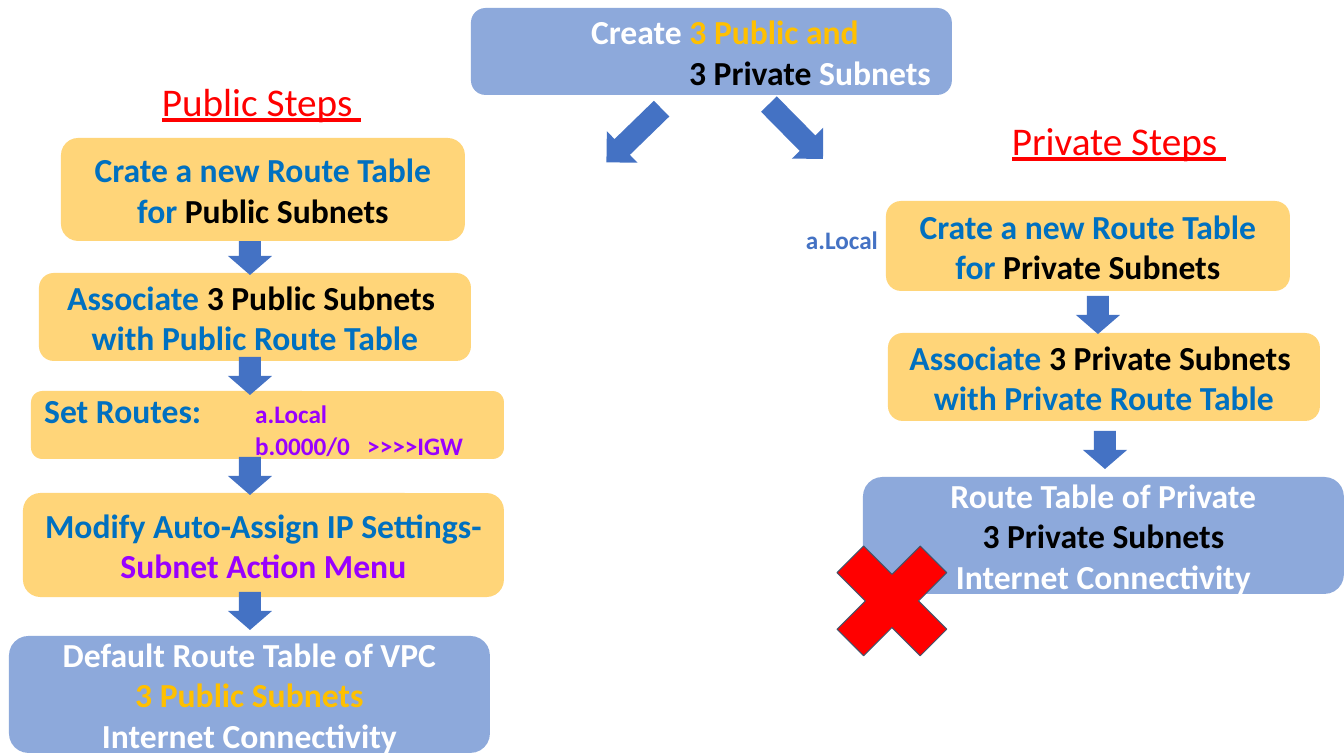
from dataclasses import dataclass
from lxml import etree
from pptx import Presentation
from pptx import util as u
from pptx.dml.color import RGBColor
from pptx.enum import shapes, text
from pptx.oxml.ns import qn

PX = 914400 / 100.8
KIND = shapes.MSO_SHAPE
MID = text.PP_ALIGN.CENTER
LEFT = text.PP_ALIGN.LEFT


@dataclass(frozen=True)
class Theme:
    font: str = "Calibri"
    title: int = 28
    body: int = 24
    small: int = 18
    sand: str = "FFD579"
    sky: str = "8DA9DB"
    arrow: str = "4472C4"
    blue: str = "0070C0"
    black: str = "000000"
    white: str = "FFFFFF"
    gold: str = "FFC000"
    purple: str = "9900FF"
    red: str = "FF0000"
    edge: str = "44546A"


T = Theme()


def px(n):
    return u.Emu(round(n * PX))


def place(area, box):
    x, y, w, h = box
    return [px(n) for n in (area[0] + x, area[1] + y, w, h)]


def write(frame, paras, align=MID, size=T.body, **form):
    """Each paragraph is a list of (words, colour[, size]) runs."""
    frame.word_wrap = True
    for i, runs in enumerate(paras):
        para = frame.paragraphs[0] if i == 0 else frame.add_paragraph()
        para.alignment = align
        for words, color, *own in runs:
            run = para.add_run()
            run.text = words
            look = {"name": T.font, "size": u.Pt(own[0] if own else size),
                    "bold": True, **form}
            for key, val in look.items():
                setattr(run.font, key, val)
            run.font.color.rgb = RGBColor.from_string(color)


def shape(slide, area, box, kind, fill, turn=0):
    item = slide.shapes.add_shape(kind, *place(area, box))
    item.shadow.inherit = False
    item.fill.solid()
    item.fill.fore_color.rgb = RGBColor.from_string(fill)
    item.line.fill.background()
    item.rotation = turn
    return item


def card(slide, area, box, fill, paras, align=MID):
    item = shape(slide, area, box, KIND.ROUNDED_RECTANGLE, fill)
    item.text_frame.vertical_anchor = text.MSO_ANCHOR.MIDDLE
    write(item.text_frame, paras, align)
    return item


def label(slide, area, box, words, color, size, **form):
    item = slide.shapes.add_textbox(*place(area, box))
    write(item.text_frame, [[(words, color)]], LEFT, size, **form)


def indent(para, left):
    para._p.get_or_add_pPr().set("marL", str(px(left)))


def stops(para, spots):
    tabs = etree.SubElement(para._p.get_or_add_pPr(), qn("a:tabLst"))
    for spot in spots:
        etree.SubElement(tabs, qn("a:tab"), pos=str(px(spot)), algn="l")


def header(slide, area):
    # Starting box with stepped lines
    top = card(slide, area, (0, 0, 481, 87), T.sky, [
        [("Create ", T.white), ("3 Public and", T.gold)],
        [("3 Private ", T.black), ("Subnets", T.white)]], LEFT)
    for para, left in zip(top.text_frame.paragraphs, (106, 204)):
        indent(para, left)
    # Branches to both columns
    for x, y, turn in ((141, 89, 45.8), (303, 85, 315.4)):
        shape(slide, area, (x, y, 44, 77), KIND.DOWN_ARROW, T.arrow, turn)


def column(slide, area, title, cards, arrows):
    """Stack of steps; the first card lies over the arrow below it."""
    label(slide, area, title[0], title[1], T.red, T.title,
          bold=False, underline=True)
    first, *rest = cards
    made = [card(slide, area, *args) for args in rest]
    for x, y in arrows:
        shape(slide, area, (x, y, 44, 38), KIND.DOWN_ARROW, T.arrow)
    card(slide, area, *first)
    return made


def public(slide, area):
    made = column(slide, area, ((143, 0, 222, 57), "Public Steps "), [
        ((52, 66, 404, 103), T.sand,
         [[("Crate a new Route Table for ", T.blue),
           ("Public Subnets", T.black)]]),
        ((30, 201, 432, 88), T.sand,
         [[("Associate ", T.blue), ("3 Public Subnets  ", T.black),
           ("with Public Route Table", T.blue)]]),
        ((22, 319, 473, 68), T.sand,
         [[("Set Routes:", T.blue), ("\ta.Local", T.purple, T.small)],
          [("\tb.0000/0\t>>>>IGW", T.purple, T.small)]], LEFT),
        ((14, 421, 481, 104), T.sand,
         [[("Modify Auto-Assign IP Settings-", T.blue),
           ("Subnet Action Menu", T.purple)]]),
        ((0, 564, 481, 117), T.sky,
         [[("Default Route Table of VPC", T.white)],
          [("3 Public Subnets", T.gold)],
          [("Internet Connectivity", T.white)]]),
    ], [(219, y) for y in (165, 285, 385, 520)])
    # Align the routes in columns
    for para in made[1].text_frame.paragraphs:
        stops(para, (211, 323))


def private(slide, area):
    column(slide, area, ((206, 0, 237, 57), "Private Steps "), [
        ((90, 90, 404, 90), T.sand,
         [[("Crate a new Route Table for ", T.blue),
           ("Private Subnets", T.black)]]),
        ((92, 222, 432, 88), T.sand,
         [[("Associate ", T.blue), ("3 Private Subnets  ", T.black),
           ("with Private Route Table", T.blue)]]),
        ((67, 366, 481, 117), T.sky,
         [[("Route Table of Private", T.white)],
          [("3 Private Subnets", T.black)],
          [("Internet Connectivity", T.white)]]),
    ], [(280, 185), (287, 320)])
    label(slide, area, (0, 108, 93, 40), "a.Local", T.arrow, T.small)
    # Cross for no connectivity
    cross = shape(slide, area, (16, 410, 160, 160), KIND.MATH_MULTIPLY, T.red)
    cross.line.color.rgb = RGBColor.from_string(T.edge)
    cross.line.width = u.Pt(0.75)


def main():
    deck = Presentation()
    deck.slide_width, deck.slide_height = px(1344), px(756)
    slide = deck.slides.add_slide(deck.slide_layouts[6])
    public(slide, (9, 72))
    private(slide, (796, 111))
    header(slide, (471, 8))
    deck.save("out.pptx")


if __name__ == "__main__":
    main()
